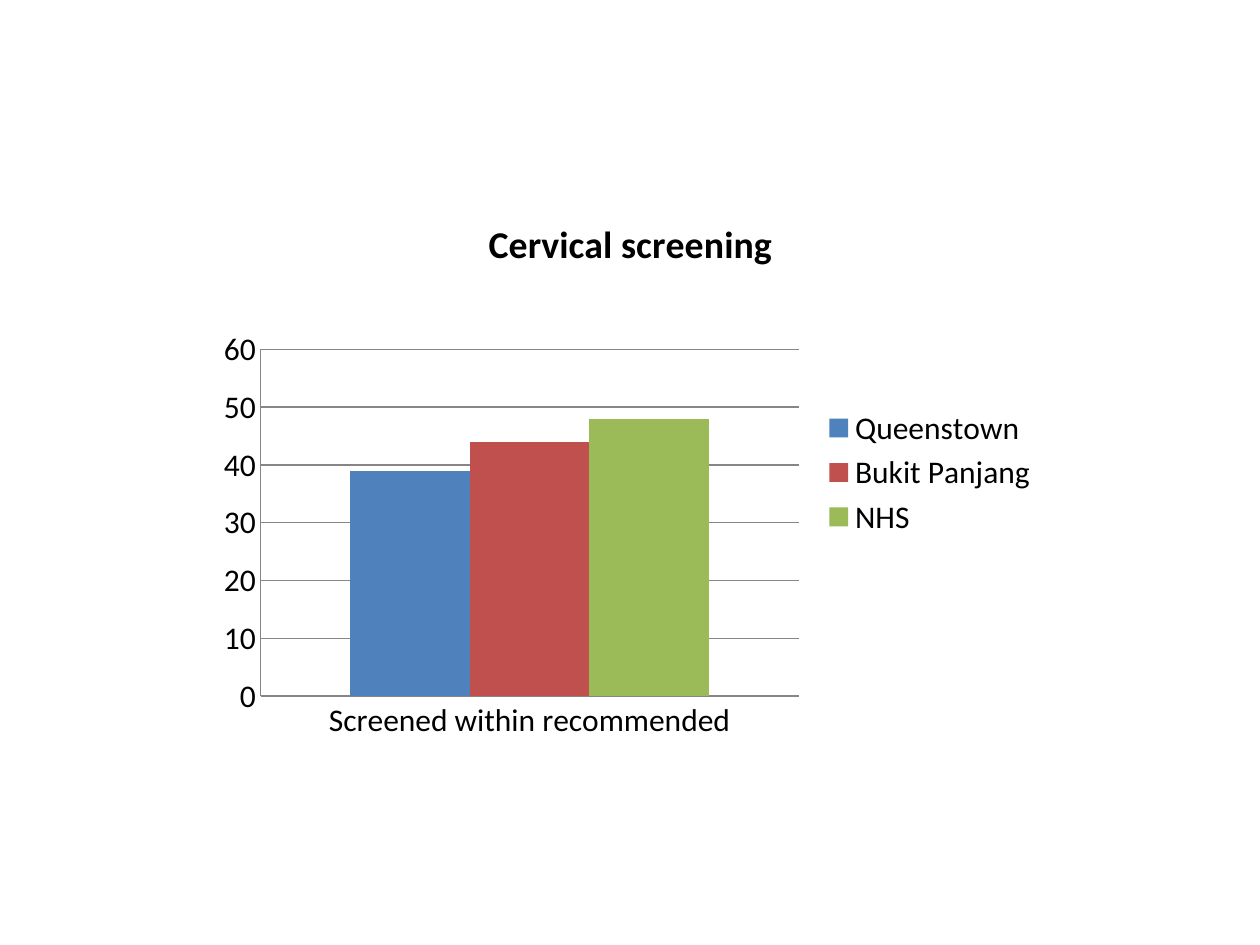
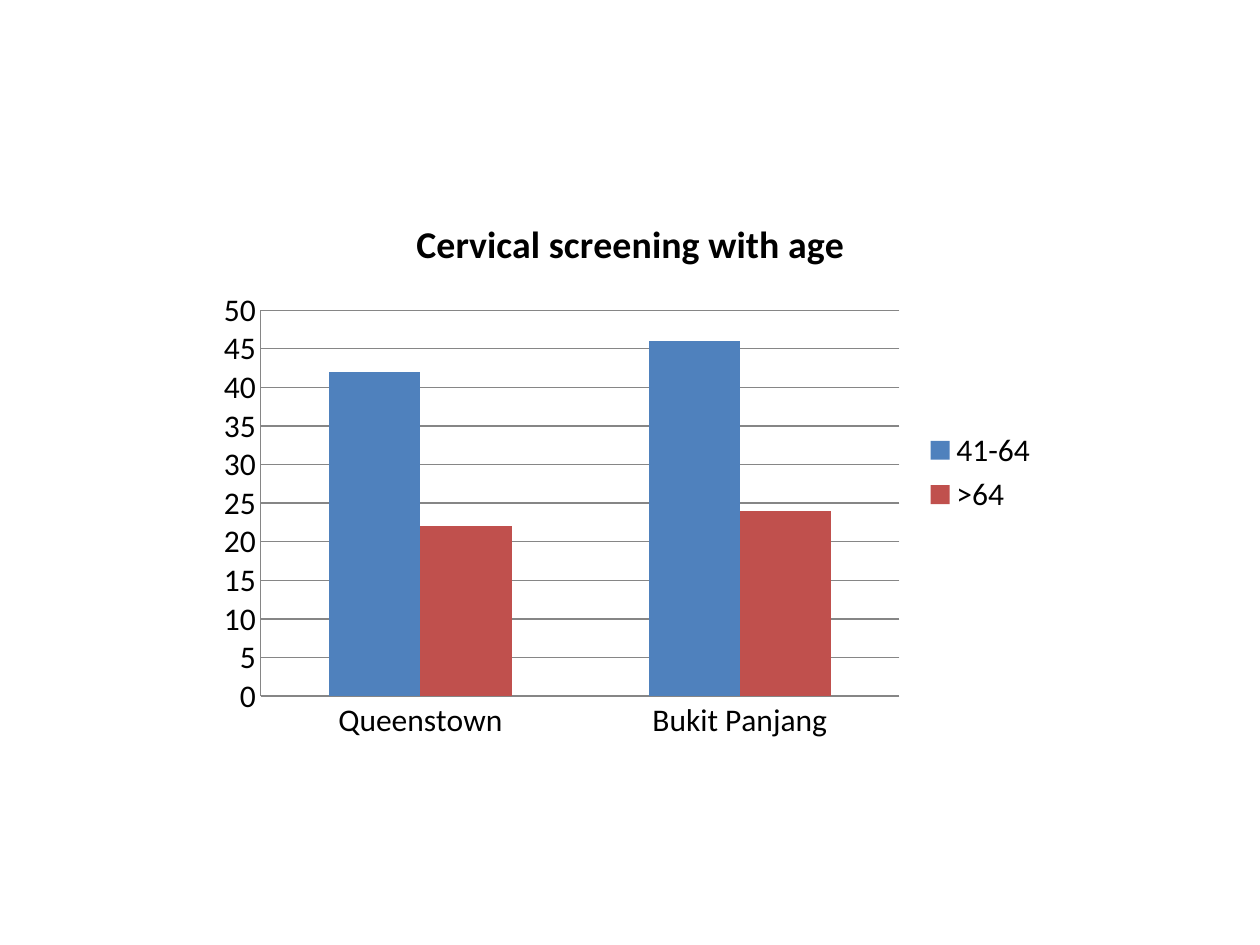
from lxml import etree
from pptx import Presentation
from pptx.chart import data as chart_data
from pptx.dml.color import RGBColor
from pptx.enum import chart as charts
from pptx.oxml import ns
from pptx.util import Inches, Pt

FONT = "Calibri"
COLOURS = {"text": "000000", "line": "868686"}
SERIES_COLOURS = ["4F81BD", "C0504D", "9BBB59"]
BLANK_LAYOUT = 6


def set_font(font, size, bold=False):
    font.name = FONT
    font.size = Pt(size)
    font.bold = bold
    font.color.rgb = RGBColor.from_string(COLOURS["text"])


def set_line(line):
    line.color.rgb = RGBColor.from_string(COLOURS["line"])
    line.width = Pt(0.75)


def set_title(chart, title):
    chart.has_title = True
    frame = chart.chart_title.text_frame
    frame.text = title
    set_font(frame.paragraphs[0].runs[0].font, 21.6, True)
    chart.chart_title.include_in_layout = False


def place_plot(chart, **fractions):
    plot_area = chart._chartSpace.chart.plotArea
    for old in plot_area.findall(ns.qn("c:layout")):
        plot_area.remove(old)
    layout = etree.Element(ns.qn("c:layout"))
    manual = etree.SubElement(layout, ns.qn("c:manualLayout"))
    settings = {"layoutTarget": "inner", "xMode": "edge", "yMode": "edge", **fractions}
    for name, value in settings.items():
        etree.SubElement(manual, ns.qn(f"c:{name}")).set("val", str(value))
    plot_area.insert(0, layout)


def style_axes(chart, maximum, step):
    for axis in (chart.category_axis, chart.value_axis):
        axis.major_tick_mark = charts.XL_TICK_MARK.NONE
        axis.minor_tick_mark = charts.XL_TICK_MARK.NONE
        set_line(axis.format.line)
    values = chart.value_axis
    values.minimum_scale = 0
    values.maximum_scale = maximum
    values.major_unit = step
    values.has_major_gridlines = True
    set_line(values.major_gridlines.format.line)


def add_column_page(deck, title, categories, series, maximum, step, plot):
    page = deck.slides.add_slide(deck.slide_layouts[BLANK_LAYOUT])
    data = chart_data.CategoryChartData(number_format="General")
    data.categories = categories
    for name, values in series.items():
        data.add_series(name, values)
    chart = page.shapes.add_chart(
        charts.XL_CHART_TYPE.COLUMN_CLUSTERED,
        Inches(1.67), Inches(1.53), Inches(6.67), Inches(4.44), data,
    ).chart
    set_font(chart.font, 18)
    set_title(chart, title)
    chart.has_legend = True
    chart.legend.position = charts.XL_LEGEND_POSITION.RIGHT
    chart.legend.include_in_layout = False
    style_axes(chart, maximum, step)
    columns = chart.plots[0]
    columns.gap_width = 150
    columns.overlap = 0
    columns.vary_by_categories = False
    for column, colour in zip(columns.series, SERIES_COLOURS):
        column.format.fill.solid()
        column.format.fill.fore_color.rgb = RGBColor.from_string(colour)
    place_plot(chart, **plot)


def main():
    deck = Presentation()
    deck.slide_width = Inches(10)
    deck.slide_height = Inches(7.5)
    add_column_page(
        deck, "Cervical screening", ["Screened within recommended"],
        {"Queenstown": [39], "Bukit Panjang": [44], "NHS": [48]},
        60, 10, {"x": 0.06, "y": 0.28, "w": 0.64, "h": 0.62},
    )
    add_column_page(
        deck, "Cervical screening with age", ["Queenstown", "Bukit Panjang"],
        {"41-64": [42, 46], ">64": [22, 24]},
        50, 5, {"x": 0.06, "y": 0.21, "w": 0.76, "h": 0.69},
    )
    deck.save("out.pptx")


if __name__ == "__main__":
    main()
